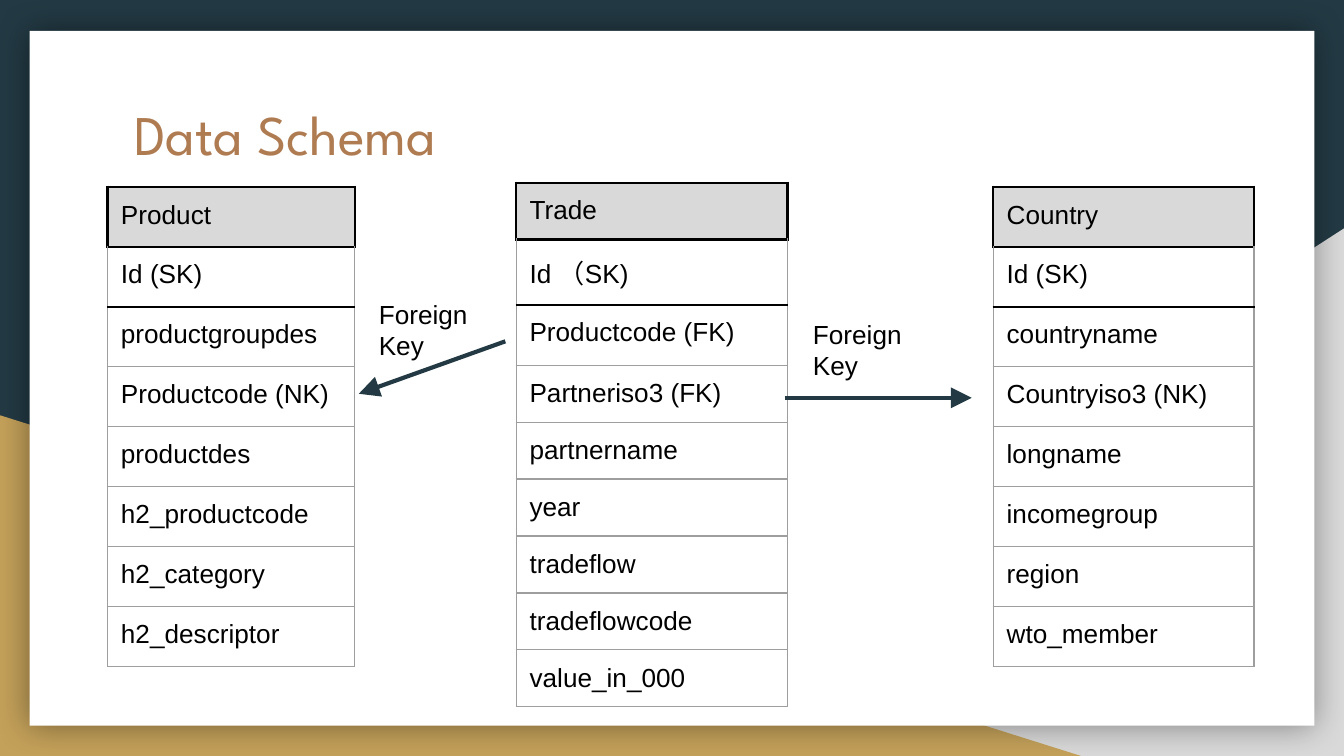
from pptx import Presentation
from pptx.dml.color import RGBColor
from pptx.enum.shapes import MSO_CONNECTOR as Link, MSO_SHAPE as Kind
from pptx.oxml import parse_xml
from pptx.oxml.ns import nsdecls
from pptx.util import Inches, Pt

THEME = dict(navy="233A44", gold="C4A15A", gray="D9D9D9", white="FFFFFF",
             black="000000", rule="9E9E9E", copper="AF7B51",
             head="League Spartan", body="Arial", big=30, small=14)

TITLE = ("Data Schema", 0.9, 0.64, 8.21, 1.04)

TABLES = [
    dict(at=(3.84, 1.36), width=2.02, even=3.39, odd={2: 0.45},
         rows=["Trade", "Id （SK)", "Productcode (FK)", "Partneriso3 (FK)",
               "partnername", "year", "tradeflow", "tradeflowcode",
               "value_in_000"]),
    dict(at=(0.8, 1.39), width=1.84, even=3.57, odd={},
         rows=["Product", "Id (SK)", "productgroupdes", "Productcode (NK)",
               "productdes", "h2_productcode", "h2_category",
               "h2_descriptor"]),
    dict(at=(7.39, 1.39), width=1.94, even=3.57, odd={},
         rows=["Country", "Id (SK)", "countryname", "Countryiso3 (NK)",
               "longname", "incomegroup", "region", "wto_member"]),
]

ARROWS = [(3.76, 2.54, 2.67, 2.93), (5.84, 2.96, 7.23, 2.96)]

LABELS = [("Foreign Key", 2.72, 2.12, 1.05, 0.84),
          ("Foreign Key", 5.95, 2.27, 1.05, 0.6)]


def color(name):
    return RGBColor.from_string(THEME[name])


def style(para, font, size, tone):
    para.font.name = THEME[font]
    para.font.size = Pt(THEME[size])
    para.font.color.rgb = color(tone)


def inset(box):
    box.margin_left = box.margin_right = Inches(0.1)
    box.margin_top = box.margin_bottom = Inches(0.1)


def add_block(slide, kind, place, tone):
    block = slide.shapes.add_shape(kind, *map(Inches, place))
    block.shadow.inherit = False
    block.fill.solid()
    block.fill.fore_color.rgb = color(tone)
    block.line.fill.background()
    return block


def add_frame(slide):
    slide.background.fill.solid()
    slide.background.fill.fore_color.rgb = color("navy")
    right = add_block(slide, Kind.RIGHT_TRIANGLE, (3.92, 1.7, 6.08, 3.93), "gray")
    right._element.spPr.xfrm.set("flipH", "1")
    add_block(slide, Kind.RIGHT_TRIANGLE, (0, 3.09, 8.06, 2.54), "gold")
    card = add_block(slide, Kind.RECTANGLE, (0.22, 0.23, 9.56, 5.17), "white")
    glow = parse_xml(
        f'<a:outerShdw {nsdecls("a")} blurRad="{Pt(18)}" dist="0" dir="0" '
        f'algn="ctr" rotWithShape="0"><a:srgbClr val="{THEME["black"]}">'
        '<a:alpha val="40000"/></a:srgbClr></a:outerShdw>')
    card._element.spPr.find("{*}effectLst").append(glow)


def add_text(slide, item, font, size, tone):
    text, *place = item
    frame = slide.shapes.add_textbox(*map(Inches, place)).text_frame
    frame.word_wrap = True
    inset(frame)
    frame.text = text
    style(frame.paragraphs[0], font, size, tone)


def add_edge(cell, side, bold):
    tone, width = ("black", 1.5) if bold else ("rule", 0.75)
    cell._tc.get_or_add_tcPr().append(parse_xml(
        f'<a:ln{side} {nsdecls("a")} w="{Pt(width)}"><a:solidFill>'
        f'<a:srgbClr val="{THEME[tone]}"/></a:solidFill></a:ln{side}>'))


def add_grid(slide, data):
    rows, odd = data["rows"], data["odd"]
    step = data["even"] / (len(rows) - len(odd))
    highs = [odd.get(i, step) for i in range(len(rows))]
    size = data["width"], sum(highs)
    grid = slide.shapes.add_table(
        len(rows), 1, *map(Inches, data["at"] + size)).table
    grid.first_row = grid.horz_banding = False
    for i, (text, high) in enumerate(zip(rows, highs)):
        grid.rows[i].height = Inches(high)
        cell = grid.cell(i, 0)
        inset(cell)
        cell.text = text
        style(cell.text_frame.paragraphs[0], "body", "small", "black")
        for side, bold in zip("LRTB", (i == 0, i == 0, i <= 2, i <= 1)):
            add_edge(cell, side, bold)
        if i == 0:
            cell.fill.solid()
            cell.fill.fore_color.rgb = color("gray")
        else:
            cell.fill.background()


def add_arrow(slide, ends):
    arrow = slide.shapes.add_connector(Link.STRAIGHT, *map(Inches, ends))
    arrow.line.color.rgb = color("navy")
    arrow.line.width = Pt(2.25)
    arrow.line._get_or_add_ln().append(parse_xml(
        f'<a:tailEnd {nsdecls("a")} type="triangle" w="lg" len="lg"/>'))
    arrow._element.spPr.append(parse_xml(f'<a:effectLst {nsdecls("a")}/>'))


def main():
    """Build the data schema slide."""
    deck = Presentation()
    deck.slide_width = Inches(10)
    deck.slide_height = deck.slide_width * 9 // 16
    slide = deck.slides.add_slide(deck.slide_layouts[6])
    add_frame(slide)
    for data in TABLES:
        add_grid(slide, data)
    for ends in ARROWS:
        add_arrow(slide, ends)
    for item in LABELS:
        add_text(slide, item, "body", "small", "black")
    add_text(slide, TITLE, "head", "big", "copper")
    deck.save("out.pptx")


if __name__ == "__main__":
    main()
